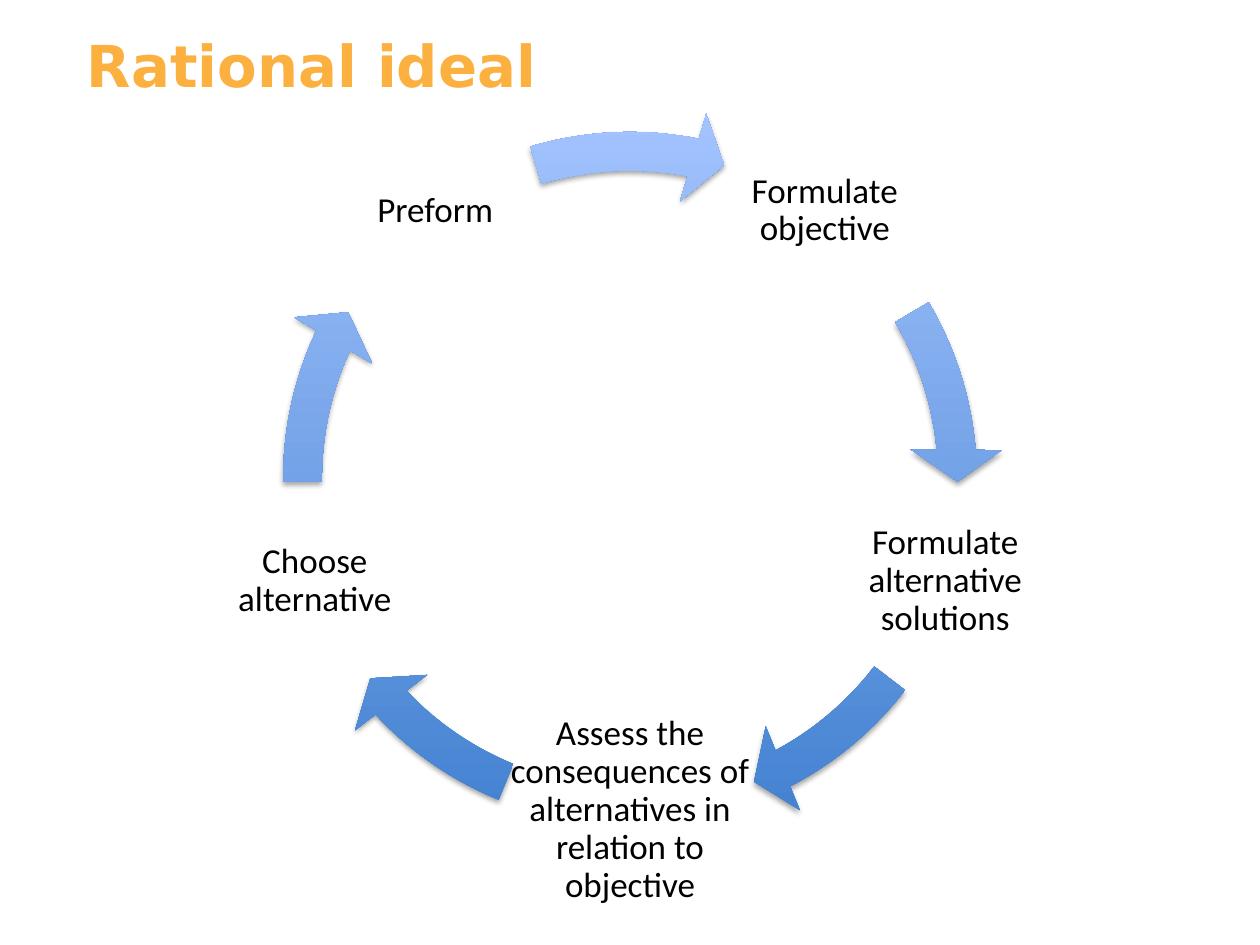
from dataclasses import dataclass
from math import cos, radians, sin

from lxml.etree import SubElement
from pptx import Presentation
from pptx.dml.color import RGBColor
from pptx.enum.shapes import MSO_SHAPE
from pptx.enum.text import MSO_ANCHOR, PP_ALIGN
from pptx.oxml.ns import qn
from pptx.util import Inches, Pt


@dataclass(frozen=True)
class Theme:
    title_color: str = "FBB040"
    label_color: str = "000000"
    arrow_bottom: str = "3F7FCE"
    arrow_top: str = "A4C4FF"
    shadow_color: str = "000000"
    title_font: str = "DejaVu Sans"
    label_font: str = "Calibri"
    title_size: int = 33
    label_size: int = 20


# Ring geometry in inches; the step labels sit at the corners of a pentagon
SLIDE_WIDTH, SLIDE_HEIGHT = 10, 7.5
CENTER_X, CENTER_Y = 5, 3.8
LABEL_RADIUS = 2.63
LABEL_SIZE = 1.58
RING_SIZE = 5.92
FIRST_ANGLE, STEP_ANGLE = -54, 72

# Label, label width, start and end angle of the arrow that follows it
STEPS = [
    ("Formulate objective", LABEL_SIZE, 329.42, 354.91),
    ("Formulate alternative solutions", LABEL_SIZE, 37.54, 62.16),
    ("Assess the consequences of alternatives in relation to objective",
     1.99, 112.25, 136.87),
    ("Choose alternative", LABEL_SIZE, 179.5, 204.99),
    ("Preform", LABEL_SIZE, 253.29, 281.12),
]


class CycleSlide:
    def __init__(self, deck, theme):
        self.theme = theme
        self.width, self.height = deck.slide_width, deck.slide_height
        self.slide = deck.slides.add_slide(deck.slide_layouts[6])

    def box(self, center_x, center_y, width, height):
        """Turn a centre and a size, as shares of the slide, into lengths."""
        return (int((center_x - width / 2) * self.width),
                int((center_y - height / 2) * self.height),
                int(width * self.width), int(height * self.height))

    def text(self, wording, box, font, size, color, inset):
        frame = self.slide.shapes.add_textbox(*box).text_frame
        frame.word_wrap = True
        frame.margin_left = frame.margin_right = Inches(inset[0])
        frame.margin_top = frame.margin_bottom = Inches(inset[1])
        frame.text = wording
        style = frame.paragraphs[0].runs[0].font
        style.name, style.size = font, Pt(size)
        style.color.rgb = RGBColor.from_string(color)
        return frame

    def title(self, wording):
        theme = self.theme
        frame = self.text(wording, self.box(0.5, 0.11, 0.88, 0.17),
                          theme.title_font, theme.title_size,
                          theme.title_color, (0.09, 0.05))
        frame.paragraphs[0].runs[0].font.bold = True

    def label(self, wording, box):
        theme = self.theme
        frame = self.text(wording, box, theme.label_font, theme.label_size,
                          theme.label_color, (0.03, 0.03))
        frame.vertical_anchor = MSO_ANCHOR.MIDDLE
        paragraph = frame.paragraphs[0]
        paragraph.alignment = PP_ALIGN.CENTER
        paragraph.line_spacing = 0.9

    def arrow(self, box, start, end):
        arrow = self.slide.shapes.add_shape(MSO_SHAPE.CIRCULAR_ARROW, *box)
        # An adjustment of 0.6 is one degree
        values = (0.052, 3.356, end * 0.6, start * 0.6, 0.061)
        for index, value in enumerate(values):
            arrow.adjustments[index] = value
        arrow.line.fill.background()
        arrow.fill.gradient()
        arrow.fill.gradient_angle = 90
        shades = (self.theme.arrow_bottom, self.theme.arrow_top)
        for stop, shade in zip(arrow.fill.gradient_stops, shades):
            stop.color.rgb = RGBColor.from_string(shade)
        self.shadow(arrow)

    def shadow(self, shape):
        """Give the shape a soft shadow that falls straight down."""
        shape.shadow.inherit = False
        effects = shape._element.spPr.find(qn("a:effectLst"))
        outer = SubElement(effects, qn("a:outerShdw"), blurRad=str(Pt(3.1)),
                           dist=str(Pt(1.8)), dir="5400000", rotWithShape="0")
        color = SubElement(outer, qn("a:srgbClr"), val=self.theme.shadow_color)
        SubElement(color, qn("a:alpha"), val="35000")


def main():
    deck = Presentation()
    deck.slide_width, deck.slide_height = Inches(SLIDE_WIDTH), Inches(SLIDE_HEIGHT)
    cycle = CycleSlide(deck, Theme())
    cycle.title("Rational ideal")
    ring = cycle.box(CENTER_X / SLIDE_WIDTH, CENTER_Y / SLIDE_HEIGHT,
                     RING_SIZE / SLIDE_WIDTH, RING_SIZE / SLIDE_HEIGHT)
    for index, (wording, width, start, end) in enumerate(STEPS):
        angle = radians(FIRST_ANGLE + index * STEP_ANGLE)
        center_x = CENTER_X + LABEL_RADIUS * cos(angle)
        center_y = CENTER_Y + LABEL_RADIUS * sin(angle)
        cycle.label(wording, cycle.box(
            center_x / SLIDE_WIDTH, center_y / SLIDE_HEIGHT,
            width / SLIDE_WIDTH, LABEL_SIZE / SLIDE_HEIGHT))
        cycle.arrow(ring, start, end)
    deck.save("out.pptx")


if __name__ == "__main__":
    main()
